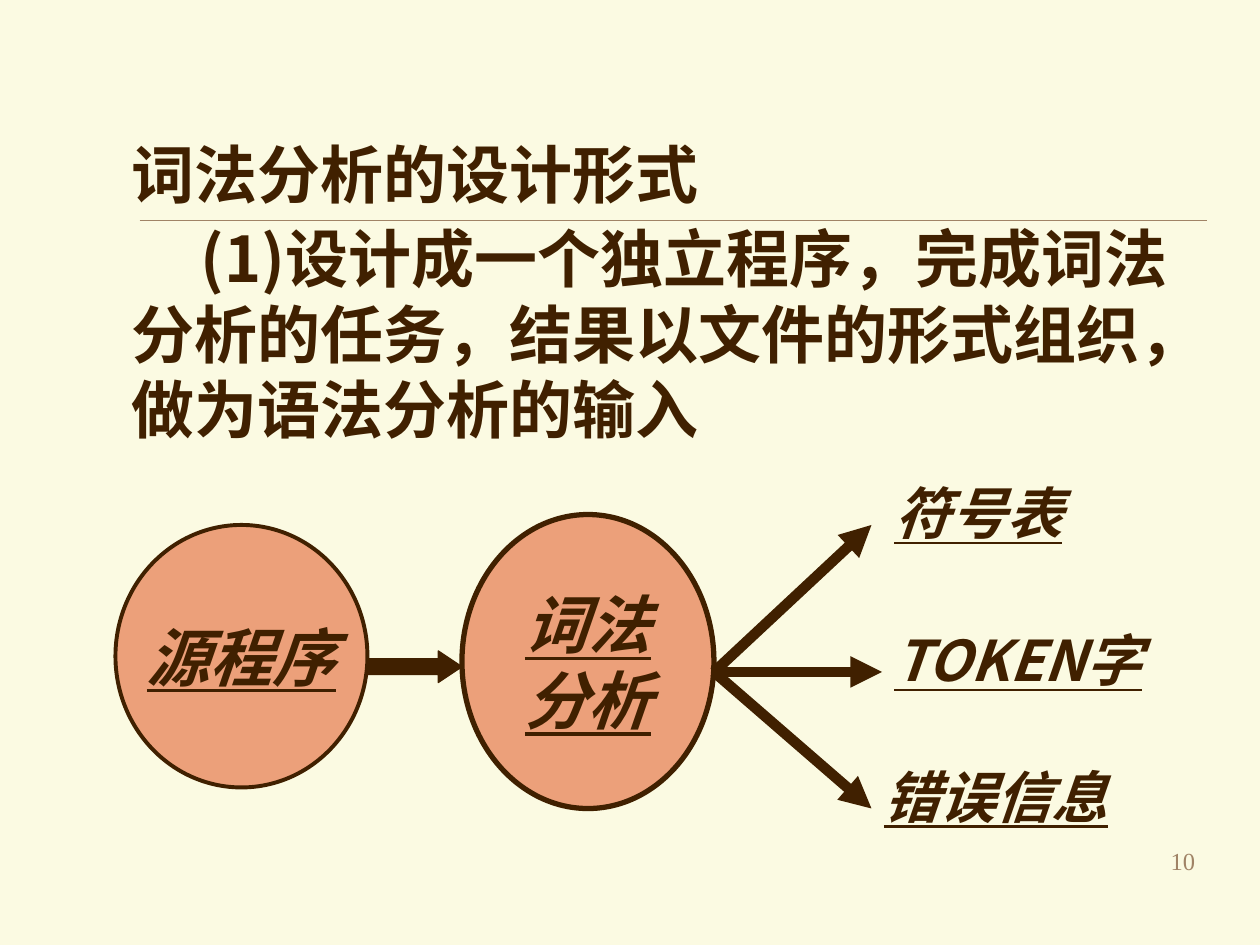
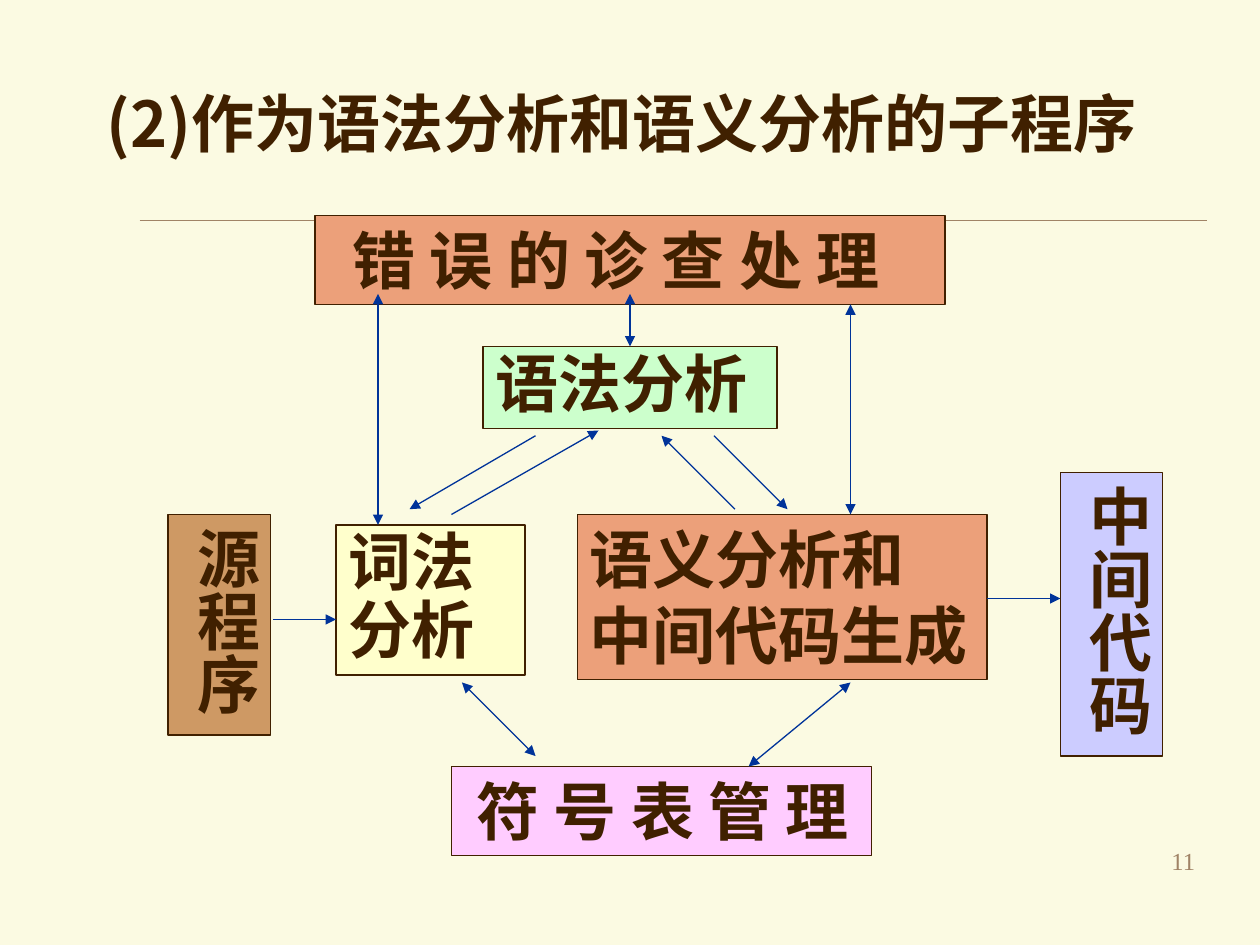
from pptx import Presentation
from pptx.dml.color import RGBColor
from pptx.enum.shapes import MSO_CONNECTOR as Connector, MSO_SHAPE as Shape
from pptx.enum.text import MSO_ANCHOR as Anchor, PP_ALIGN as Align
from pptx.oxml.ns import qn
from pptx.util import Inches, Pt
from lxml.etree import SubElement

COLORS = {
    "paper": "FBFAE2", "ink": "402000", "muted": "A08366", "link": "003399",
    "salmon": "ECA07A", "cream": "FFFFCC", "mint": "CCFFCC",
    "tan": "CE9964", "lilac": "CCCCFF", "pink": "FFCCFF",
}
SERIF, SANS = "Times New Roman", "Noto Sans CJK JP"
COLUMNS, ROWS = 120, 90  # grid cells of a twelfth of an inch
WIDTH, HEIGHT = Inches(10), Inches(7.5)


def color(name):
    return RGBColor.from_string(COLORS[name])


def place(left, top, *size):
    """Turn grid columns and rows into slide lengths."""
    cells = (left, top) + size
    units = (WIDTH / COLUMNS, HEIGHT / ROWS) * 2
    return [round(cell * unit) for cell, unit in zip(cells, units)]


# Text
def write(shape, text, size=36, font=SERIF, ink="ink", bold=True, slanted=False,
          align=Align.LEFT, anchor=Anchor.TOP, wrap=True, spacing=None,
          before=0, indents=(), vertical=False):
    """Fill a shape with one paragraph per line; indents are first-line inches."""
    frame = shape.text_frame
    frame.word_wrap = wrap
    frame.vertical_anchor = anchor
    if vertical:
        frame._txBody.bodyPr.set("vert", "eaVert")
    for index, line in enumerate(text.split("\n")):
        para = frame.paragraphs[0] if index == 0 else frame.add_paragraph()
        para.alignment = align
        para.line_spacing = spacing
        para.space_before = Pt(before if index else 0)
        if index < len(indents):
            para._p.get_or_add_pPr().set("indent", str(Inches(indents[index])))
        span = para.add_run()
        span.text = line
        span.font.size = Pt(size)
        span.font.name = font
        span.font.bold = bold
        span.font.italic = span.font.underline = slanted
        span.font.color.rgb = color(ink)
        SubElement(span._r.get_or_add_rPr(), qn("a:ea"), typeface=SANS)


def add_text(page, cells, text, **style):
    write(page.shapes.add_textbox(*place(*cells)), text, **style)


# Shapes and lines
def add_block(page, kind, cells, fill, text="", weight=0.75, **style):
    block = page.shapes.add_shape(kind, *place(*cells))
    block.shadow.inherit = False
    block.fill.solid()
    block.fill.fore_color.rgb = color(fill)
    block.line.color.rgb = color("ink")
    block.line.width = Pt(weight)
    if text:
        write(block, text, **style)
    return block


def add_line(page, start, end, ink="link", weight=0.75, arrows=("tailEnd",)):
    line = page.shapes.add_connector(Connector.STRAIGHT, *place(*start), *place(*end))
    line.line.color.rgb = color(ink)
    line.line.width = Pt(weight)
    for arrow in arrows:
        SubElement(line.line._get_or_add_ln(), qn(f"a:{arrow}"), type="triangle")
    SubElement(line._element.spPr, qn("a:effectLst"))


def add_page(deck, number):
    """Start a page with the shared rule and page number."""
    page = deck.slides.add_slide(deck.slide_layouts[6])
    page.background.fill.solid()
    page.background.fill.fore_color.rgb = color("paper")
    add_line(page, (13.3, 21), (115, 21), ink="muted", weight=0.25, arrows=())
    add_text(page, (90, 80, 25, 6), str(number), size=14, ink="muted",
             bold=False, align=Align.RIGHT)
    return page


def build_standalone_page(deck):
    page = add_page(deck, 10)
    add_text(page, (11.3, 12.3, 102.7, 30.8),
             "词法分析的设计形式\n(1)设计成一个独立程序，完成词法分析的任务，"
             "结果以文件的形式组织，做为语法分析的输入",
             font=SANS, before=5, indents=(0, 0.55))

    # Source program flows into the lexer
    centred = dict(slanted=True, align=Align.CENTER, anchor=Anchor.MIDDLE, wrap=False)
    add_block(page, Shape.OVAL, (11, 50, 24, 25), "salmon", "源程序", weight=2.25, **centred)
    flow = add_block(page, Shape.RIGHT_ARROW, (35, 62, 9, 3), "ink")
    flow.adjustments[1] = 0.75
    add_block(page, Shape.OVAL, (44, 49, 24, 28), "salmon", "词法\n分析", weight=3, **centred)

    # Results fan out from the lexer
    results = [
        ((83, 50), (84, 45, 24, 7.5), "符号表", SERIF),
        ((84, 64), (84, 59, 30, 7.5), "TOKEN字", SANS),
        ((83, 77), (83, 72, 29, 7.5), "错误信息", SERIF),
    ]
    for tip, cells, text, font in results:
        add_line(page, (68, 64), tip, ink="ink", weight=6)
        add_text(page, cells, text, size=32, font=font, slanted=True)


def build_subroutine_page(deck):
    page = add_page(deck, 11)

    # Compiler stages
    stages = [
        ((32, 50, 18, 14.3), "cream", "词法\n分析", dict(spacing=0.9)),
        ((46, 33, 28, 7.8), "mint", "语法分析", dict(spacing=0.9)),
        ((55, 49, 39, 15.7), "salmon", "语义分析和\n中间代码生成", {}),
        ((16, 49, 9.75, 21), "tan", "源程序", dict(vertical=True)),
        ((101, 45, 9.75, 27), "lilac", "中间代码", dict(vertical=True)),
        ((43, 73, 40, 8.5), "pink", "符 号 表 管 理", dict(font=SANS, indents=(0.1,))),
        ((30, 20.5, 60, 8.5), "salmon", "错 误 的 诊 查 处 理",
         dict(font=SANS, indents=(0.2,))),
    ]
    for cells, fill, text, style in stages:
        add_block(page, Shape.RECTANGLE, cells, fill, text, **style)

    # One-way calls and data flow
    one_way = [
        ((26, 59), (32, 59)), ((94, 57), (101, 57)),
        ((51, 41.5), (39, 48.5)), ((43, 49), (57, 41)),
        ((68, 41.5), (75, 48.5)), ((70, 48.5), (63, 41.5)),
    ]
    for start, end in one_way:
        add_line(page, start, end)

    # Two-way links to the symbol table and error handling
    two_way = [
        ((44, 65), (51, 72)), ((81, 65), (71.3, 73)),
        ((36, 28), (36, 50)), ((60, 28), (60, 33)), ((81, 29), (81, 49)),
    ]
    for start, end in two_way:
        add_line(page, start, end, arrows=("headEnd", "tailEnd"))

    add_text(page, (9, 7.5, 101, 8.5), "(2)作为语法分析和语义分析的子程序", font=SANS)


def main():
    deck = Presentation()
    deck.slide_width, deck.slide_height = WIDTH, HEIGHT
    build_standalone_page(deck)
    build_subroutine_page(deck)
    deck.save("out.pptx")


if __name__ == "__main__":
    main()
